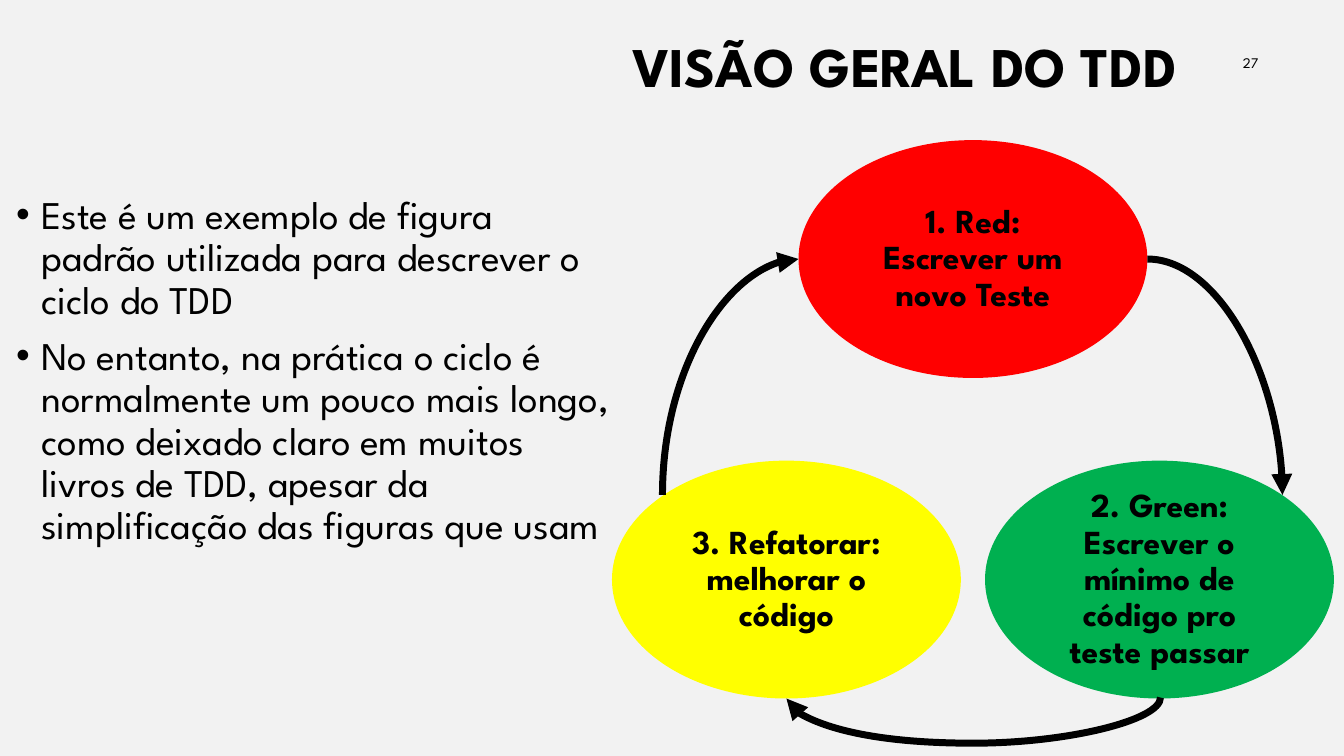
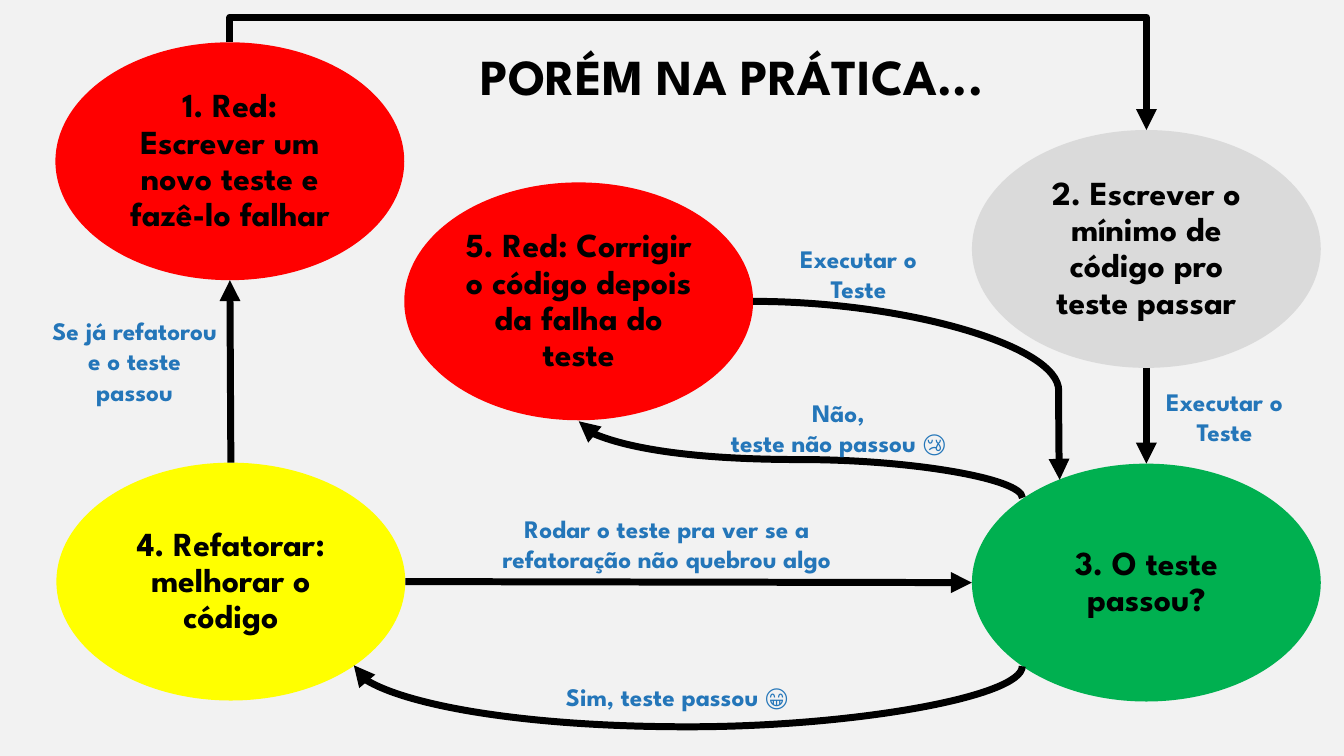
from pptx import Presentation
from pptx.dml.color import RGBColor
from pptx.enum.shapes import MSO_CONNECTOR, MSO_SHAPE
from pptx.enum.text import MSO_ANCHOR, MSO_AUTO_SIZE, PP_ALIGN
from pptx.oxml.ns import qn
from pptx.util import Inches, Pt
from lxml.etree import SubElement

FONT = "League Spartan"
BACKGROUND, BLACK, BLUE = "F2F2F2", "000000", "2476B9"
RED, GREEN, YELLOW, GRAY = "FF0000", "00B050", "FFFF00", "DADADA"
ELLIPSE_WIDTH, ELLIPSE_HEIGHT = 3.46, 2.36
TOP, LEFT, BOTTOM, RIGHT = range(4)
ELLIPSE_SITES = {TOP: 0, LEFT: 2, BOTTOM: 4, RIGHT: 6}

OVERVIEW = {
    "title": ("VISÃO GERAL DO TDD", (0.52, 0.22, 11.25, 0.94), 40, PP_ALIGN.RIGHT),
    "steps": {
        "red": (7.92, 1.39, RED, "1. Red: Escrever um novo Teste"),
        "green": (9.77, 4.57, GREEN, "2. Green: Escrever o mínimo de código pro teste passar"),
        "refactor": (6.07, 4.57, YELLOW, "3. Refatorar: melhorar o código"),
    },
    "straight": [],
    "routed": [
        ("curvedConnector2", (6.57, 4.91), (7.92, 2.57), 90, None),
        ("curvedConnector2", (11.38, 2.57), (12.72, 4.91), 0, None),
        ("curvedConnector3", (11.51, 6.92), (7.8, 6.93), 90, 0.46),
    ],
    "labels": [],
}
BULLETS = [
    "Este é um exemplo de figura padrão utilizada para descrever o ciclo do TDD",
    "No entanto, na prática o ciclo é normalmente um pouco mais longo, como deixado "
    "claro em muitos livros de TDD, apesar da simplificação das figuras que usam",
]
PRACTICE = {
    "title": ("PORÉM NA PRÁTICA...", (4.5, 0.32, 5.52, 0.94), 36, PP_ALIGN.CENTER),
    "steps": {
        "red": (0.55, 0.42, RED, "1. Red: Escrever um novo teste e fazê-lo falhar"),
        "check": (9.64, 4.6, GREEN, "3. O teste passou?"),
        "refactor": (0.56, 4.59, YELLOW, "4. Refatorar: melhorar o código"),
        "fix": (4.01, 1.81, RED, "5. Red: Corrigir o código depois da falha do teste"),
        "write": (9.64, 1.29, GRAY, "2. Escrever o mínimo de código pro teste passar"),
    },
    "straight": [
        ("refactor", RIGHT, "check", LEFT),
        ("refactor", TOP, "red", BOTTOM),
        ("write", BOTTOM, "check", TOP),
    ],
    "routed": [
        ("bentConnector3", (2.28, 0.42), (11.37, 1.29), 270, 0.25),
        ("curvedConnector3", (10.14, 6.61), (3.51, 6.6), 90, 0.61),
        ("curvedConnector3", (10.14, 4.94), (5.74, 4.18), 270, 0.38),
        ("curvedConnector3", (7.47, 2.99), (10.51, 4.76), 0, 3.03),
    ],
    "labels": [
        ((5.34, 6.71, 2.75, 0.4), ["Sim, teste passou 😁"]),
        ((4.33, 5.04, 4.57, 0.71), ["Rodar o teste pra ver se a", "refatoração não quebrou algo"]),
        ((6.7, 3.89, 3.23, 0.71), ["Não,", "teste não passou 😢"]),
        ((11.19, 3.78, 1.91, 0.71), ["Executar o Teste"]),
        ((0.38, 3.08, 1.91, 1.01), ["Se já refatorou e o teste passou"]),
        ((7.56, 2.36, 1.91, 0.71), ["Executar o Teste"]),
    ],
}


def color(value):
    return RGBColor.from_string(value)


def place(shape, box):
    shape.left, shape.top, shape.width, shape.height = map(Inches, box)


def write(shape, lines, size, align, bold=True, ink=BLACK, spacing=0.9, anchor=MSO_ANCHOR.MIDDLE):
    frame = shape.text_frame
    frame.word_wrap = True
    frame.auto_size = MSO_AUTO_SIZE.NONE
    frame.vertical_anchor = anchor
    for index, line in enumerate(lines):
        paragraph = frame.add_paragraph() if index else frame.paragraphs[0]
        paragraph.alignment = align
        paragraph.line_spacing = spacing
        run = paragraph.add_run()
        run.text = line
        run.font.name = FONT
        run.font.size = Pt(size)
        run.font.bold = bold
        run.font.color.rgb = color(ink)
    return frame


def add_textbox(slide, box, lines, size, align, **style):
    write(slide.shapes.add_textbox(*map(Inches, box)), lines, size, align, **style)


def add_step(slide, left, top, fill, text):
    ellipse = slide.shapes.add_shape(
        MSO_SHAPE.OVAL, *map(Inches, (left, top, ELLIPSE_WIDTH, ELLIPSE_HEIGHT)))
    ellipse.shadow.inherit = False
    ellipse.fill.solid()
    ellipse.fill.fore_color.rgb = color(fill)
    ellipse.line.fill.background()
    frame = write(ellipse, [text], 24, PP_ALIGN.CENTER)
    frame.margin_left = frame.margin_right = frame.margin_top = frame.margin_bottom = Inches(0.1)
    return ellipse


def add_arrow(slide, kind, start, end):
    connector = slide.shapes.add_connector(kind, *map(Inches, (*start, *end)))
    connector.line.color.rgb = color(BLACK)
    connector.line.width = Pt(5)
    SubElement(connector.line._get_or_add_ln(), qn("a:tailEnd"), type="triangle")
    SubElement(connector._element.spPr, qn("a:effectLst"))
    return connector


def add_straight_arrow(slide, source, source_side, target, target_side):
    connector = add_arrow(slide, MSO_CONNECTOR.STRAIGHT, (0, 0), (1, 1))
    connector.begin_connect(source, source_side)
    connector.end_connect(target, target_side)
    for tag, side in (("a:stCxn", source_side), ("a:endCxn", target_side)):
        next(connector._element.iter(qn(tag))).set("idx", str(ELLIPSE_SITES[side]))


def add_routed_arrow(slide, preset, start, end, rotation, bend):
    kind = MSO_CONNECTOR.ELBOW if preset.startswith("bent") else MSO_CONNECTOR.CURVE
    connector = add_arrow(slide, kind, start, end)
    dx, dy = end[0] - start[0], end[1] - start[1]
    along, across = {0: (dx, dy), 90: (dy, -dx), 270: (-dy, dx)}[rotation]
    width, height = abs(along), abs(across)
    center_x, center_y = (start[0] + end[0]) / 2, (start[1] + end[1]) / 2
    place(connector, (center_x - width / 2, center_y - height / 2, width, height))
    properties = connector._element.spPr
    transform = properties.find(qn("a:xfrm"))
    transform.set("rot", str(rotation * 60000))
    transform.set("flipH", str(int(along < 0)))
    transform.set("flipV", str(int(across < 0)))
    geometry = properties.find(qn("a:prstGeom"))
    geometry.set("prst", preset)
    if bend is not None:
        adjustments = geometry.find(qn("a:avLst"))
        if adjustments is None:
            adjustments = SubElement(geometry, qn("a:avLst"))
        SubElement(adjustments, qn("a:gd"), name="adj1", fmla=f"val {round(bend / along * 100000)}")


def add_bullets(placeholder, box, lines):
    place(placeholder, box)
    frame = write(placeholder, lines, 28, PP_ALIGN.LEFT, bold=False, anchor=MSO_ANCHOR.TOP)
    for paragraph in frame.paragraphs:
        paragraph.space_before = Pt(10)
        properties = paragraph._p.get_or_add_pPr()
        properties.set("marL", str(Inches(0.25)))
        properties.set("indent", str(-Inches(0.25)))
        SubElement(properties, qn("a:buFont"), typeface="Arial")
        SubElement(properties, qn("a:buChar"), char="•")


def add_cycle_slide(presentation, layout, content):
    slide = presentation.slides.add_slide(presentation.slide_layouts[layout])
    text, box, size, align = content["title"]
    place(slide.shapes.title, box)
    write(slide.shapes.title, [text], size, align)
    steps = {name: add_step(slide, *step) for name, step in content["steps"].items()}
    for source, source_side, target, target_side in content["straight"]:
        add_straight_arrow(slide, steps[source], source_side, steps[target], target_side)
    for route in content["routed"]:
        add_routed_arrow(slide, *route)
    for box, lines in content["labels"]:
        add_textbox(slide, box, lines, 18, PP_ALIGN.CENTER,
                    ink=BLUE, spacing=1.0, anchor=MSO_ANCHOR.TOP)
    return slide


def main():
    presentation = Presentation()
    presentation.slide_width, presentation.slide_height = Inches(13.33), Inches(7.5)
    background = presentation.slide_master.background.fill
    background.solid()
    background.fore_color.rgb = color(BACKGROUND)

    overview = add_cycle_slide(presentation, 1, OVERVIEW)
    add_bullets(overview.placeholders[1], (0.06, 1.89, 6.09, 4.56), BULLETS)
    add_textbox(overview, (9.58, 0.42, 3, 0.4), ["27"], 10.5, PP_ALIGN.RIGHT,
                bold=False, spacing=1.0)
    add_cycle_slide(presentation, 5, PRACTICE)
    presentation.save("out.pptx")


if __name__ == "__main__":
    main()
